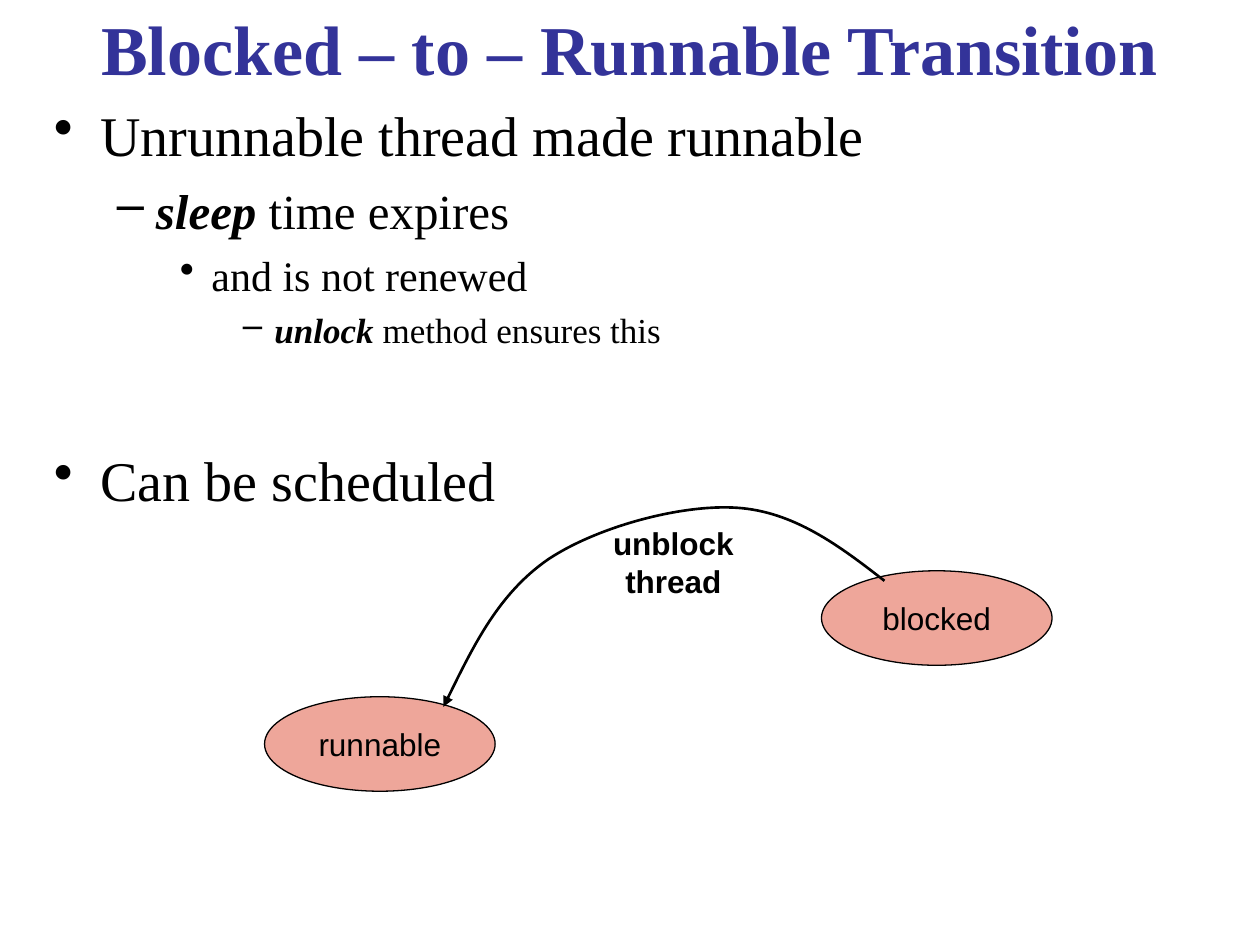
from dataclasses import dataclass

from lxml import etree
from pptx import Presentation
from pptx import util as u
from pptx.dml import color
from pptx.enum import shapes, text
from pptx.oxml import ns

COLORS = {"title": "333399", "ink": "000000", "state": "EEA69A"}
SERIF, SANS = "Times New Roman", "Arial"


@dataclass
class Bullet:
    level: int
    wording: str
    emphasis: str = ""
    space_before: float = 0


@dataclass
class Level:
    mark: str
    size: int
    margin: float
    hanging: float


@dataclass
class State:
    name: str
    left: float
    top: float


LEVELS = [
    Level("•", 32, 0.37, 0.37),
    Level("–", 28, 0.81, 0.31),
    Level("•", 24, 1.25, 0.25),
    Level("–", 20, 1.75, 0.25),
]
BULLETS = [
    Bullet(0, "Unrunnable thread made runnable"),
    Bullet(1, " time expires", "sleep"),
    Bullet(2, "and is not renewed"),
    Bullet(3, " method ensures this", "unlock"),
    Bullet(0, "Can be scheduled", space_before=54),
]
STATES = [State("runnable", 2.1, 5.53), State("blocked", 6.52, 4.53)]
ARROW = [
    (7.02, 4.61),
    (6.66, 4.33), (6.3, 4.06), (5.85, 4.03),
    (5.41, 4), (4.74, 4.18), (4.35, 4.44),
    (3.96, 4.71), (3.74, 5.16), (3.52, 5.61),
]


def rgb(name: str) -> color.RGBColor:
    return color.RGBColor.from_string(COLORS[name])


def style(para, face: str, size: float, ink: str = "ink", bold: bool = False) -> None:
    para.font.name = face
    para.font.size = u.Pt(size)
    para.font.bold = bold
    para.font.color.rgb = rgb(ink)


def add_box(page, left: float, top: float, width: float, height: float):
    box = page.shapes.add_textbox(*map(u.Inches, (left, top, width, height)))
    box.text_frame.word_wrap = True
    return box


def add_centered(box, wording: str, face: str, size: float, ink: str = "ink", bold: bool = False) -> None:
    para = box.text_frame.paragraphs[0]
    para.text = wording
    para.alignment = text.PP_ALIGN.CENTER
    style(para, face, size, ink, bold)


def add_bullet(para, bullet: Bullet) -> None:
    level = LEVELS[bullet.level]
    para.level = bullet.level
    para.space_before = u.Pt(bullet.space_before or level.size / 4)
    style(para, SERIF, level.size)
    if bullet.emphasis:
        span = para.add_run()
        span.text = bullet.emphasis
        span.font.bold = span.font.italic = True
    para.add_run().text = bullet.wording
    props = para._p.get_or_add_pPr()
    props.set("marL", str(u.Inches(level.margin)))
    props.set("indent", str(-u.Inches(level.hanging)))
    mark = etree.Element(ns.qn("a:buChar"), char=level.mark)
    props.find(ns.qn("a:defRPr")).addprevious(mark)


def add_state(page, state: State) -> None:
    oval = page.shapes.add_shape(
        shapes.MSO_SHAPE.OVAL, *map(u.Inches, (state.left, state.top, 1.83, 0.75))
    )
    oval.shadow.inherit = False
    oval.fill.solid()
    oval.fill.fore_color.rgb = rgb("state")
    oval.line.color.rgb = rgb("ink")
    oval.line.width = u.Pt(0.74)
    oval.text_frame.word_wrap = False
    oval.text_frame.vertical_anchor = text.MSO_ANCHOR.MIDDLE
    add_centered(oval, state.name, SANS, 18)


def add_curved_arrow(page, points: list[tuple[float, float]]) -> None:
    start, *rest = [(u.Inches(x), u.Inches(y)) for x, y in points]
    builder = page.shapes.build_freeform(*start)
    builder.add_line_segments(rest, close=False)
    arrow = builder.convert_to_shape()
    arrow.shadow.inherit = False
    arrow.fill.background()
    arrow.line.color.rgb = rgb("ink")
    arrow.line.width = u.Pt(1.5)
    etree.SubElement(arrow.line._get_or_add_ln(), ns.qn("a:tailEnd"), type="triangle")
    segments = list(arrow.element.iter(ns.qn("a:lnTo")))
    outline = segments[0].getparent()
    for first in range(0, len(segments), 3):
        curve = etree.SubElement(outline, ns.qn("a:cubicBezTo"))
        for segment in segments[first:first + 3]:
            curve.append(segment[0])
            outline.remove(segment)


def main() -> None:
    deck = Presentation()
    deck.slide_width, deck.slide_height = u.Inches(10), u.Inches(7.5)
    page = deck.slides.add_slide(deck.slide_layouts[6])

    title = add_box(page, 0.33, -0.01, 9.33, 0.77)
    title.text_frame.vertical_anchor = text.MSO_ANCHOR.MIDDLE
    add_centered(title, "Blocked – to – Runnable Transition", SERIF, 40, "title", True)

    body = add_box(page, 0.33, 0.75, 9.33, 6.5).text_frame
    for index, bullet in enumerate(BULLETS):
        add_bullet(body.add_paragraph() if index else body.paragraphs[0], bullet)

    for state in STATES:
        add_state(page, state)
    add_curved_arrow(page, ARROW)
    label = add_box(page, 4.68, 4.11, 1.33, 0.7)
    add_centered(label, "unblock thread", SANS, 18, bold=True)

    deck.save("out.pptx")


main()
